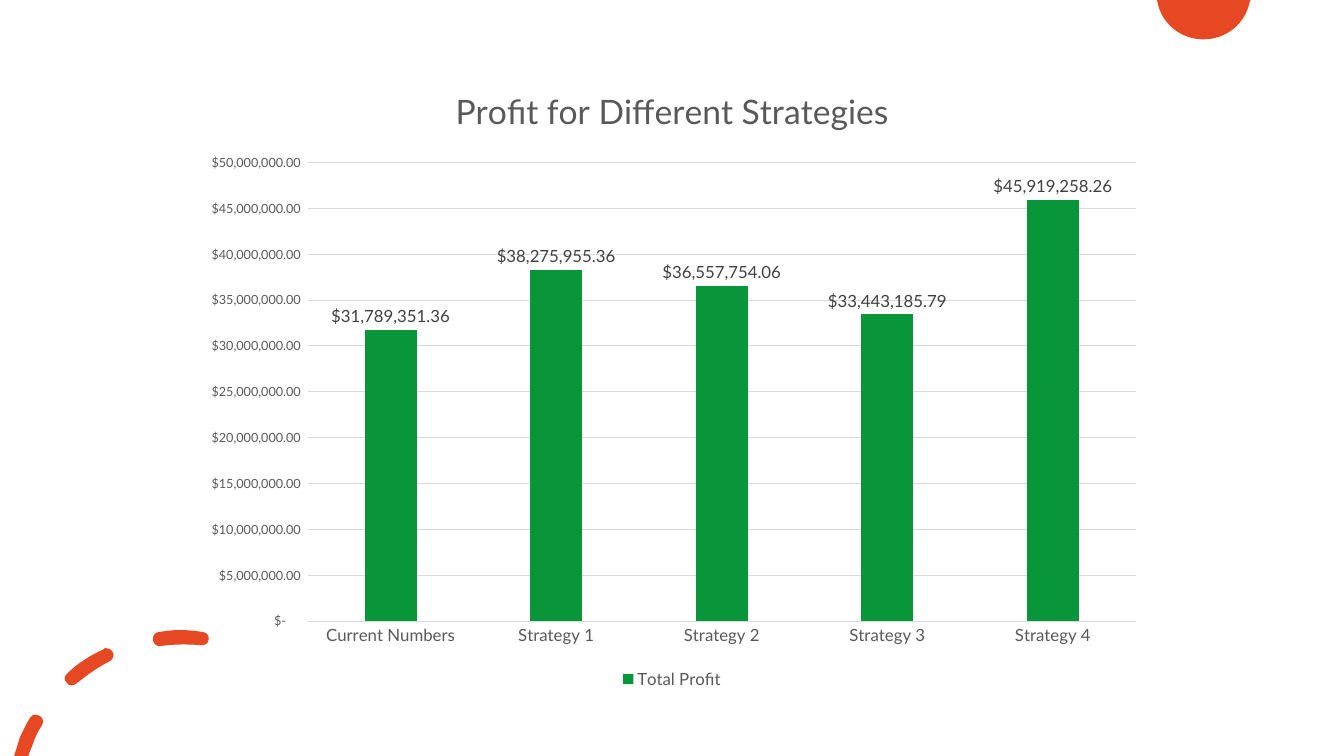
from lxml import etree
from pptx import Presentation
from pptx.chart.data import CategoryChartData
from pptx.dml.color import RGBColor
from pptx.enum.chart import XL_CHART_TYPE, XL_LABEL_POSITION, XL_LEGEND_POSITION, XL_TICK_MARK
from pptx.oxml.ns import qn
from pptx.util import Pt

COLUMNS = XL_CHART_TYPE.COLUMN_CLUSTERED
OUTSIDE_END = XL_LABEL_POSITION.OUTSIDE_END
BOTTOM = XL_LEGEND_POSITION.BOTTOM
NO_TICK = XL_TICK_MARK.NONE

COLORS = {"orange": "E64823", "green": "09963B", "text": "595959",
          "label": "404040", "grid": "D9D9D9"}
FONT = "Lato"
MONEY = '_("$"* #,##0.00_);_("$"* \\(#,##0.00\\);_("$"* "-"??_);_(@_)'


def style_font(font, size, color):
    for name, value in {"name": FONT, "size": Pt(size), "bold": False}.items():
        setattr(font, name, value)
    font.color.rgb = RGBColor.from_string(COLORS[color])


def add_outline(page, contours):
    """Draw contours of points; a six-number entry is a cubic Bezier curve."""
    start_x, start_y = contours[0][0]
    builder = page.shapes.build_freeform(Pt(start_x), Pt(start_y))
    for index, (start, *segments) in enumerate(contours):
        if index:
            builder.move_to(Pt(start[0]), Pt(start[1]))
        numbers = [Pt(number) for segment in segments for number in segment]
        builder.add_line_segments(list(zip(numbers[::2], numbers[1::2])), close=True)
    shape = builder.convert_to_shape()

    # Join the three points of each curve into one Bezier segment
    lines = shape.element.iter(qn("a:lnTo"))
    lines = iter(list(lines))
    for start, *segments in contours:
        for segment in segments:
            group = [next(lines) for point in range(len(segment) // 2)]
            if len(group) == 3:
                curve = etree.Element(qn("a:cubicBezTo"))
                group[0].addprevious(curve)
                for line in group:
                    curve.append(line[0])
                    line.getparent().remove(line)

    shape.shadow.inherit = False
    shape.fill.solid()
    shape.fill.fore_color.rgb = RGBColor.from_string(COLORS["orange"])
    shape.line.fill.background()


deck = Presentation()
deck.slide_width, deck.slide_height = Pt(960), Pt(540)
page = deck.slides.add_slide(deck.slide_layouts[6])

# Corner decorations
disc = [(826.6, 0), (893.5, 0), (892.8, 0.7), (889.9, 16.6, 876.2, 28.1, 859.7, 28.1),
        (843.1, 28.1, 829.4, 16.6, 826.6, 0.7)]
low_dash = [(25.9, 510.5), (24.5, 509.8, 22.3, 511.2, 21.6, 512.6),
            (18.7, 517, 16.6, 522, 14.4, 526.3), (10.1, 540), (20.2, 540), (23.8, 530.6),
            (25.2, 526.3, 27.4, 522, 30.2, 517.7), (31.7, 515.5, 30.2, 511.9, 28.1, 511.2),
            (27.4, 510.5, 26.6, 510.5, 25.9, 510.5)]
middle_dash = [(75.6, 463), (74.9, 463, 74.2, 463, 74.2, 463.7),
               (64.8, 468, 55.4, 473.8, 48.2, 481), (46.1, 482.4, 45.4, 486, 47.5, 487.4),
               (48.2, 488.9, 49.7, 489.6, 51.1, 489.6), (51.1, 489.6),
               (52.6, 489.6, 53.3, 488.9, 54.7, 488.2),
               (61.9, 482.4, 69.8, 476.6, 78.5, 472.3), (80.6, 470.9, 82.1, 468, 80.6, 465.8),
               (79.9, 463.7, 77.8, 463, 75.6, 463)]
top_dash = [(128.9, 450), (123.8, 450, 118.8, 450.7, 113.8, 451.4),
            (110.9, 451.4, 108.7, 454.3, 109.4, 457.2),
            (109.4, 459.4, 111.6, 461.5, 113.8, 461.5),
            (114.5, 461.5, 114.5, 461.5, 114.5, 461.5),
            (124.6, 460.1, 133.9, 460.1, 143.3, 460.8), (146.2, 461.5, 149, 459.4, 149, 457.2),
            (149.8, 454.3, 147.6, 451.4, 144.7, 451.4),
            (144.7, 451.4, 144.7, 451.4, 144.7, 451.4),
            (139.7, 450.7, 133.9, 450, 128.9, 450)]
add_outline(page, [disc])
add_outline(page, [low_dash, middle_dash, top_dash])

# Profit chart
data = CategoryChartData(number_format=MONEY)
data.categories = ["Current Numbers", "Strategy 1", "Strategy 2", "Strategy 3", "Strategy 4"]
data.add_series("Total Profit",
                [31789351.36, 38275955.36, 36557754.06, 33443185.79, 45919258.26])
chart = page.shapes.add_chart(COLUMNS, Pt(135), Pt(45), Pt(690), Pt(450), data).chart
style_font(chart.font, 10, "text")

chart.has_title = True
title = chart.chart_title
title.include_in_layout = False
title.text_frame.text = "Profit for Different Strategies"
style_font(title.text_frame.paragraphs[0].runs[0].font, 24, "text")

chart.has_legend = True
chart.legend.position = BOTTOM
chart.legend.include_in_layout = False
style_font(chart.legend.font, 12, "text")

categories, amounts = chart.category_axis, chart.value_axis
for axis, size in ((categories, 12), (amounts, 9)):
    axis.major_tick_mark = axis.minor_tick_mark = NO_TICK
    style_font(axis.tick_labels.font, size, "text")
amounts.minimum_scale, amounts.maximum_scale, amounts.major_unit = 0, 50000000, 5000000
amounts.format.line.fill.background()
for line in (categories.format.line, amounts.major_gridlines.format.line):
    line.width = Pt(0.75)
    line.color.rgb = RGBColor.from_string(COLORS["grid"])

plot = chart.plots[0]
plot.gap_width, plot.overlap, plot.vary_by_categories = 219, -27, False
profit = plot.series[0]
profit.format.fill.solid()
profit.format.fill.fore_color.rgb = RGBColor.from_string(COLORS["green"])
labels = profit.data_labels
labels.show_value = True
labels.position = OUTSIDE_END
style_font(labels.font, 12, "label")
for numbers in (amounts.tick_labels, labels):
    numbers.number_format = MONEY
    numbers.number_format_is_linked = False

deck.save("out.pptx")
